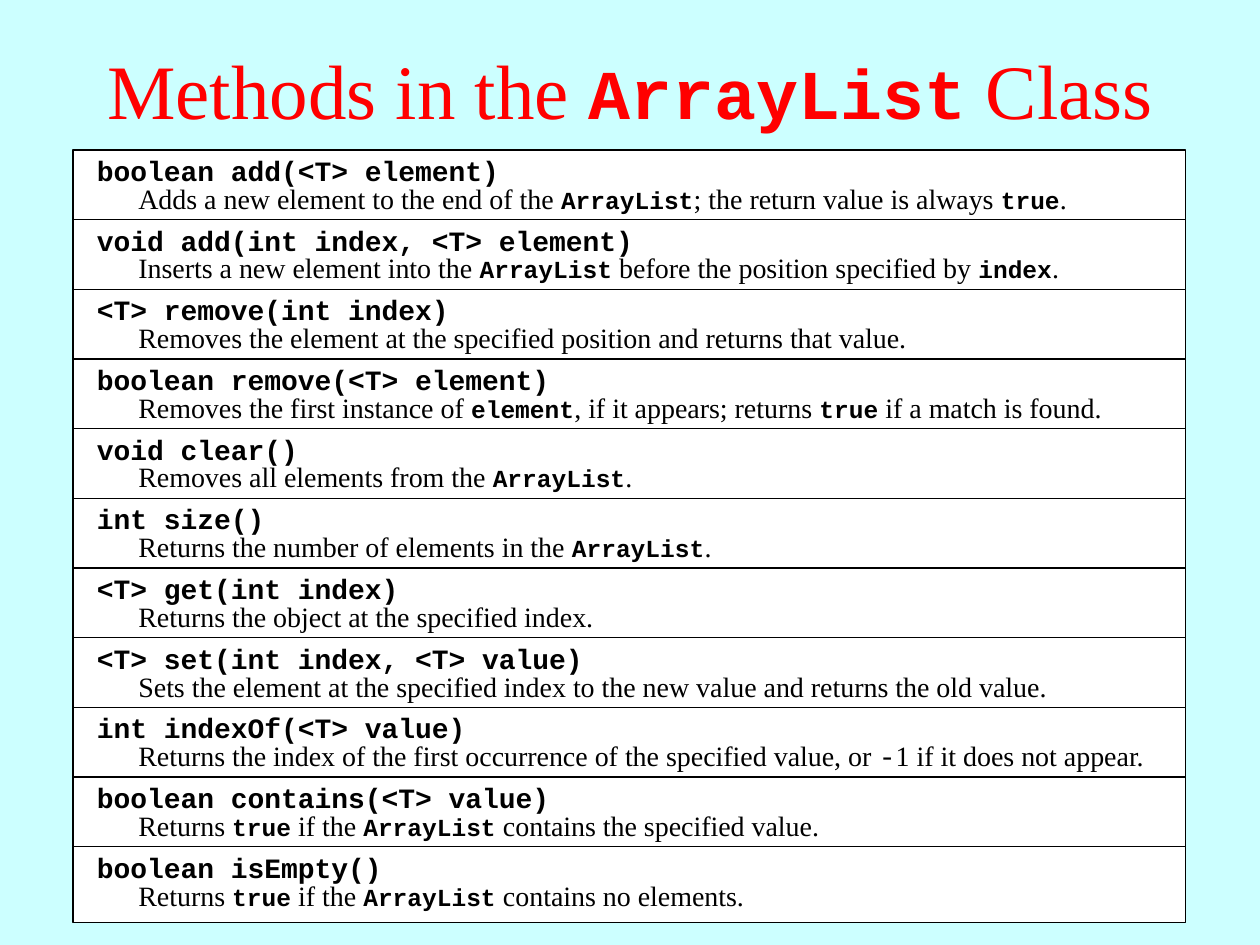
"""Build a slide that lists the methods of the ArrayList class."""
from dataclasses import dataclass
from typing import NamedTuple

from pptx import Presentation
from pptx.dml.color import RGBColor
from pptx.enum import shapes, text
from pptx.util import Inches, Pt


class Style(NamedTuple):
    font: str
    size: int
    bold: bool = False


@dataclass(frozen=True)
class Theme:
    background: RGBColor = RGBColor(0xCC, 0xFF, 0xFF)
    title: RGBColor = RGBColor(0xFF, 0x00, 0x00)
    ink: RGBColor = RGBColor(0x00, 0x00, 0x00)
    row: RGBColor = RGBColor(0xFF, 0xFF, 0xFF)
    title_prose: Style = Style("Times New Roman", 44)
    title_code: Style = Style("Courier New", 40, True)
    signature: Style = Style("Courier New", 16, True)
    prose: Style = Style("Times New Roman", 16)
    code: Style = Style("Courier New", 14, True)
    symbol: Style = Style("Courier New", 16)


THEME = Theme()
ROW_TOP, LAST_ROW_TOP, ROW_HEIGHT = 1.19, 6.72, 0.6


class Run(NamedTuple):
    text: str
    style: Style = THEME.prose


class Method(NamedTuple):
    signature: str
    description: tuple[Run, ...]


ARRAY_LIST = Run("ArrayList", THEME.code)
TRUE = Run("true", THEME.code)
STOP = Run(".")

TITLE = (
    Run("Methods in the ", THEME.title_prose),
    Run("ArrayList", THEME.title_code),
    Run(" Class", THEME.title_prose),
)
METHODS = (
    Method("boolean add(<T> element)", (
        Run("Adds a new element to the end of the "), ARRAY_LIST,
        Run("; the return value is always "), TRUE, STOP)),
    Method("void add(int index, <T> element)", (
        Run("Inserts a new element into the "), ARRAY_LIST,
        Run(" before the position specified by "), Run("index", THEME.code), STOP)),
    Method("<T> remove(int index)", (
        Run("Removes the element at the specified position and returns that value."),)),
    Method("boolean remove(<T> element)", (
        Run("Removes the first instance of "), Run("element", THEME.code),
        Run(", if it appears; returns "), TRUE, Run(" if a match is found."))),
    Method("void clear()", (
        Run("Removes all elements from the "), ARRAY_LIST, STOP)),
    Method("int size()", (
        Run("Returns the number of elements in the "), ARRAY_LIST, STOP)),
    Method("<T> get(int index)", (
        Run("Returns the object at the specified index."),)),
    Method("<T> set(int index, <T> value)", (
        Run("Sets the element at the specified index to the new value and returns the old value."),)),
    Method("int indexOf(<T> value)", (
        Run("Returns the index of the first occurrence of the specified value, or "),
        Run("-", THEME.symbol), Run("1 if it does not appear."))),
    Method("boolean contains(<T> value)", (
        Run("Returns "), TRUE, Run(" if the "), ARRAY_LIST,
        Run(" contains the specified value."))),
    Method("boolean isEmpty()", (
        Run("Returns "), TRUE, Run(" if the "), ARRAY_LIST,
        Run(" contains no elements."))),
)


def write_runs(paragraph, runs: tuple[Run, ...], color: RGBColor) -> None:
    for item in runs:
        run = paragraph.add_run()
        run.text = item.text
        run.font.name = item.style.font
        run.font.size = Pt(item.style.size)
        run.font.bold = item.style.bold
        run.font.color.rgb = color


def add_title(slide) -> None:
    title = slide.shapes.title
    title.left, title.top = Inches(0), Inches(0.08)
    title.width, title.height = Inches(10), Inches(1.25)
    frame = title.text_frame
    frame.auto_size = text.MSO_AUTO_SIZE.NONE
    frame.vertical_anchor = text.MSO_ANCHOR.MIDDLE
    paragraph = frame.paragraphs[0]
    paragraph.alignment = text.PP_ALIGN.CENTER
    write_runs(paragraph, TITLE, THEME.title)


def add_line(slide, left: float, top: float, width: float, runs: tuple[Run, ...]) -> None:
    box = slide.shapes.add_textbox(Inches(left), Inches(top), Inches(width), Inches(0.37))
    frame = box.text_frame
    frame.word_wrap = True
    frame.auto_size = text.MSO_AUTO_SIZE.SHAPE_TO_FIT_TEXT
    write_runs(frame.paragraphs[0], runs, THEME.ink)


def add_method(slide, method: Method, top: float) -> None:
    row = slide.shapes.add_shape(
        shapes.MSO_SHAPE.RECTANGLE, Inches(0.58), Inches(top), Inches(8.83), Inches(ROW_HEIGHT))
    row.shadow.inherit = False
    row.fill.solid()
    row.fill.fore_color.rgb = THEME.row
    row.line.color.rgb = THEME.ink
    row.line.width = Pt(0.75)
    add_line(slide, 0.67, top - 0.02, 8.58, (Run(method.signature, THEME.signature),))
    add_line(slide, 1, top + 0.2, 8.33, method.description)


def main() -> None:
    presentation = Presentation()
    presentation.slide_width, presentation.slide_height = Inches(10), Inches(7.5)
    slide = presentation.slides.add_slide(presentation.slide_layouts[5])
    slide.background.fill.solid()
    slide.background.fill.fore_color.rgb = THEME.background
    add_title(slide)
    pitch = (LAST_ROW_TOP - ROW_TOP) / (len(METHODS) - 1)
    for index, method in enumerate(METHODS):
        add_method(slide, method, ROW_TOP + index * pitch)
    presentation.save("out.pptx")


if __name__ == "__main__":
    main()
